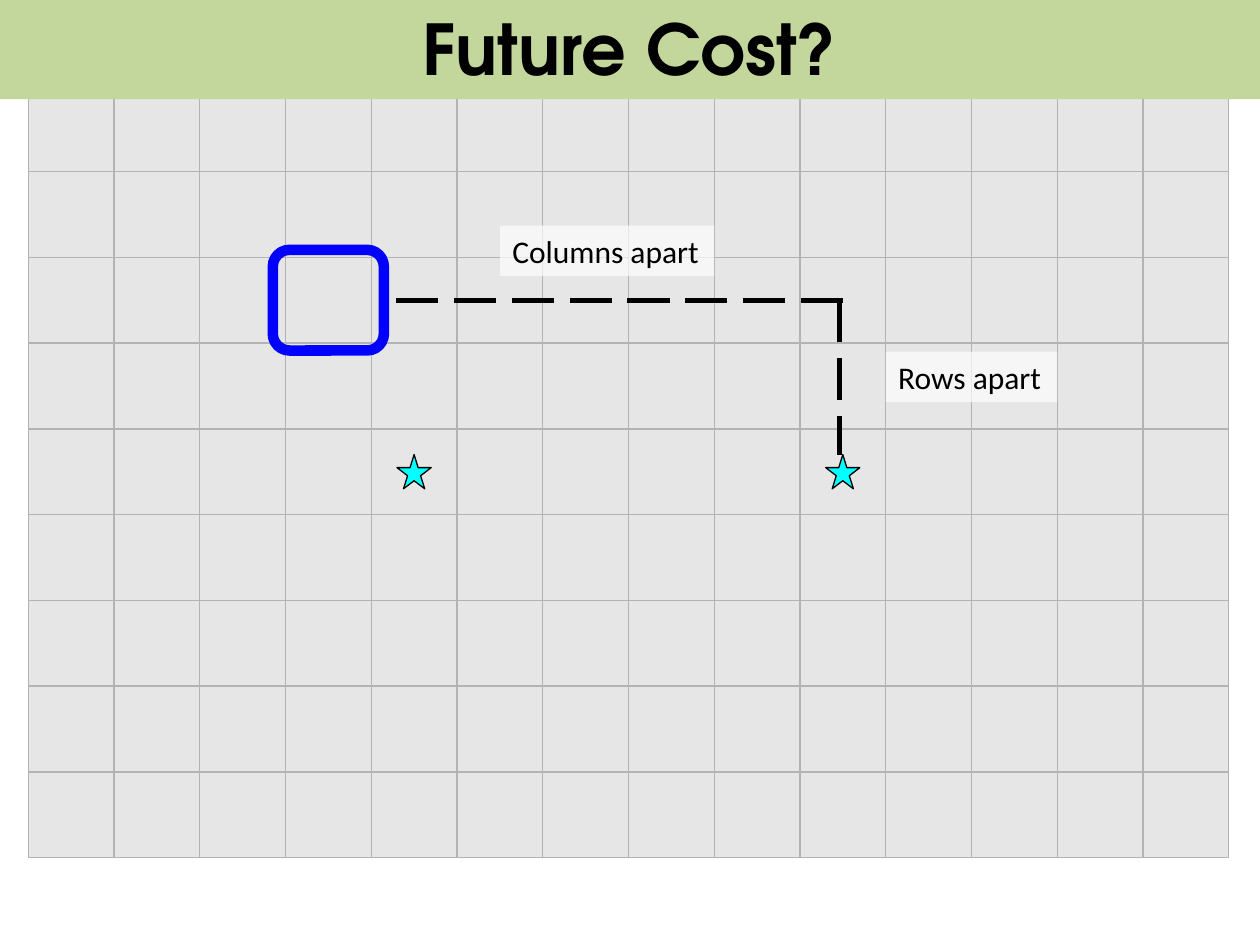
from lxml import etree
from pptx import Presentation
from pptx.dml.color import RGBColor
from pptx.enum.dml import MSO_LINE
from pptx.enum.shapes import MSO_CONNECTOR, MSO_SHAPE
from pptx.enum.text import MSO_ANCHOR, MSO_AUTO_SIZE, PP_ALIGN
from pptx.oxml.ns import qn
from pptx.util import Cm, Pt

RECT = MSO_SHAPE.RECTANGLE
ROUNDED = MSO_SHAPE.ROUNDED_RECTANGLE
STAR = MSO_SHAPE.STAR_5_POINT
STRAIGHT = MSO_CONNECTOR.STRAIGHT
LONG_DASH = MSO_LINE.LONG_DASH
MIDDLE = MSO_ANCHOR.MIDDLE
CENTER = PP_ALIGN.CENTER
FIT_SHAPE = MSO_AUTO_SIZE.SHAPE_TO_FIT_TEXT
NO_FIT = MSO_AUTO_SIZE.NONE

ROWS, COLS = 9, 14
BLACK = "000000"


def paint(fmt, color):
    """Give a fill solid color, or none when color is None."""
    if color is None:
        fmt.background()
    else:
        fmt.solid()
        fmt.fore_color.rgb = RGBColor.from_string(color)


def add_run(p, text, font, size, bold=False):
    r = p.add_run()
    r.text = text
    r.font.name = font
    r.font.size = Pt(size)
    r.font.bold = bold
    paint(r.font.fill, BLACK)


def add_figure(slide, kind, box, fill, line, width):
    sp = slide.shapes.add_shape(kind, *(Cm(v) for v in box))
    sp.shadow.inherit = False
    paint(sp.fill, fill)
    paint(sp.line.fill, line)
    sp.line.width = Pt(width)
    return sp


def add_dashed_line(slide, x1, y1, x2, y2):
    line = slide.shapes.add_connector(STRAIGHT, Cm(x1), Cm(y1), Cm(x2), Cm(y2))
    paint(line.line.fill, BLACK)
    line.line.width = Pt(3)
    line.line.dash_style = LONG_DASH
    etree.SubElement(line._element.spPr, qn("a:effectLst"))


def add_label(slide, x, y, w, h, text):
    """Add text on a partly transparent white ground."""
    sp = slide.shapes.add_textbox(Cm(x), Cm(y), Cm(w), Cm(h))
    paint(sp.fill, "FFFFFF")
    color = sp._element.spPr.find(qn("a:solidFill"))[0]
    etree.SubElement(color, qn("a:alpha"), val="68000")
    tf = sp.text_frame
    tf.word_wrap = False
    tf.auto_size = FIT_SHAPE
    add_run(tf.paragraphs[0], text, "Calibri", 18)


def add_board(slide, left, top, width, height):
    """Draw the grid with its goals, the current cell and the distances."""
    cell_w, cell_h = width / COLS, height / ROWS

    def at(col, row):
        return left + col * cell_w, top + row * cell_h

    def centred(col, row, w, h):
        x, y = at(col + 0.5, row + 0.5)
        return x - w / 2, y - h / 2, w, h

    for row in range(ROWS):
        for col in range(COLS):
            box = (*at(col, row), cell_w, cell_h)
            add_figure(slide, RECT, box, "E6E6E6", "B3B3B3", 0.75)

    star_size = 0.69
    for col in (9, 4):
        box = centred(col, 4, star_size, star_size)
        add_figure(slide, STAR, box, "00FFFF", BLACK, 0.75)
    add_figure(slide, ROUNDED, centred(3, 2, 2.24, 2.03), None, "0000FF", 6)

    start_x, path_y = at(4.29, 2.5)
    corner_x, goal_y = at(9.46, 4.3)
    add_dashed_line(slide, start_x, path_y, corner_x + 0.1, path_y)
    add_dashed_line(slide, corner_x, path_y, corner_x, goal_y)

    label_h = 1.02
    add_label(slide, *at(10, 3.1), 2 * cell_w, label_h, "Rows apart")
    add_label(slide, *at(5.5, 1.63), 2.5 * cell_w, label_h, "Columns apart")


def add_title(slide, left, top, width, height, text):
    """Place the title band in front of the board."""
    title = slide.shapes.title
    title.left, title.top = Cm(left), Cm(top)
    title.width, title.height = Cm(width), Cm(height)
    paint(title.fill, "C3D69B")
    tf = title.text_frame
    tf.auto_size = NO_FIT
    tf.vertical_anchor = MIDDLE
    p = tf.paragraphs[0]
    p.alignment = CENTER
    add_run(p, text, "TeX Gyre Adventor", 40, bold=True)
    slide.shapes._spTree.append(title._element)


def main():
    prs = Presentation()
    prs.slide_width, prs.slide_height = Cm(25.4), Cm(19.05)
    slide = prs.slides.add_slide(prs.slide_layouts[5])
    add_board(slide, 0.57, 1.73, 24.2, 15.56)
    add_title(slide, 0, -0.08, 25.4, 2.08, "Future Cost?")
    prs.save("out.pptx")


if __name__ == "__main__":
    main()
